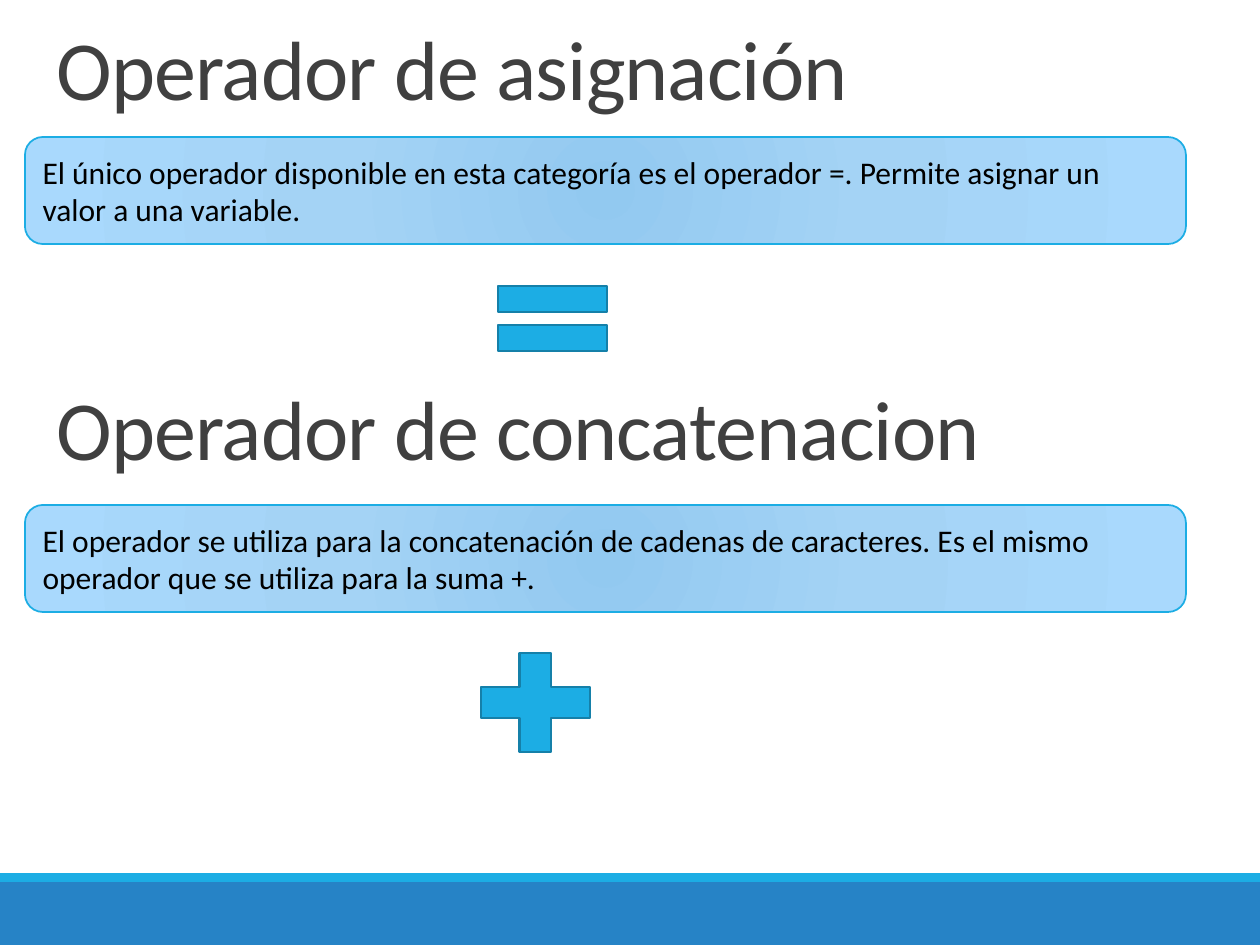
from dataclasses import dataclass

from pptx import Presentation
from pptx.dml.color import RGBColor
from pptx.enum.shapes import MSO_SHAPE
from pptx.enum.text import MSO_ANCHOR, PP_ALIGN
from pptx.oxml import parse_xml
from pptx.oxml.ns import nsdecls
from pptx.util import Emu, Pt

RECT, ROUNDED = MSO_SHAPE.RECTANGLE, MSO_SHAPE.ROUNDED_RECTANGLE
PLUS, EQUAL = MSO_SHAPE.MATH_PLUS, MSO_SHAPE.MATH_EQUAL
MIDDLE, BOTTOM = MSO_ANCHOR.MIDDLE, MSO_ANCHOR.BOTTOM
LEFT = PP_ALIGN.LEFT

EMU_PER_PX = 914400 / 126
WIDTH, HEIGHT = 1260, 945
FONT = "Calibri"
COLORS = {
    "title": "404040",
    "body": "000000",
    "accent": "1CADE4",
    "accent_dark": "1580A9",
    "footer": "2683C6",
}
GRADIENT = {0: "92C9F0", 45: "A4D3F5", 100: "A9D9FD"}


@dataclass
class Section:
    """One operator: its heading, its explanation and its symbol."""
    title: str
    title_top: int
    body: str
    body_top: int
    symbol: MSO_SHAPE
    symbol_box: tuple[int, int, int, int]


SECTIONS = [
    Section("Operador de asignación", -76,
            "El único operador disponible en esta categoría es el operador =. "
            "Permite asignar un valor a una variable.", 137,
            EQUAL, (478, 263, 149, 111)),
    Section("Operador de concatenacion", 284,
            "El operador se utiliza para la concatenación de cadenas de caracteres. "
            "Es el mismo operador que se utiliza para la suma +.", 505,
            PLUS, (461, 635, 149, 135)),
]


def px(*values: int) -> list[Emu]:
    """Turn pixels into EMU."""
    return [Emu(round(v * EMU_PER_PX)) for v in values]


def rgb(name: str) -> RGBColor:
    """Look up a named colour."""
    return RGBColor.from_string(COLORS[name])


def add_shape(slide, kind, box, fill=None, line=None, line_width=1.25):
    """Draw a preset shape without a shadow."""
    sp = slide.shapes.add_shape(kind, *px(*box))
    sp.shadow.inherit = False
    if fill:
        sp.fill.solid()
        sp.fill.fore_color.rgb = rgb(fill)
    if line:
        sp.line.color.rgb = rgb(line)
        sp.line.width = Pt(line_width)
    else:
        sp.line.fill.background()
    return sp


def set_text(sp, text: str, size: int, color: str, anchor):
    """Write one left-aligned paragraph and return it."""
    tf = sp.text_frame
    tf.word_wrap = True
    tf.vertical_anchor = anchor
    p = tf.paragraphs[0]
    p.alignment = LEFT
    p.add_run().text = text
    p.font.name, p.font.size = FONT, Pt(size)
    p.font.color.rgb = rgb(color)
    return p


def add_title(slide, text: str, top: int) -> None:
    """Add a large heading with tight letter spacing."""
    sp = slide.shapes.add_textbox(*px(44, top, 1039, 200))
    p = set_text(sp, text, 48, "title", BOTTOM)
    p.line_spacing = 0.85
    p.runs[0]._r.get_or_add_rPr().set("spc", "-50")


def add_body(slide, text: str, top: int) -> None:
    """Add a rounded box with a radial gradient and its explanation."""
    sp = add_shape(slide, ROUNDED, (25, top, 1161, 107), line="accent", line_width=1)
    stops = "".join(f'<a:gs pos="{pos * 1000}"><a:srgbClr val="{color}"/></a:gs>'
                    for pos, color in GRADIENT.items())
    gradient = parse_xml(
        f'<a:gradFill {nsdecls("a")} rotWithShape="1"><a:gsLst>{stops}</a:gsLst>'
        '<a:path path="circle"><a:fillToRect l="100000" t="100000" r="100000" b="100000"/>'
        '</a:path></a:gradFill>')
    sp._element.spPr.find("{*}prstGeom").addnext(gradient)
    set_text(sp, text, 18, "body", MIDDLE)


def main() -> None:
    """Build and save the slide."""
    prs = Presentation()
    prs.slide_width, prs.slide_height = px(WIDTH, HEIGHT)
    s = prs.slides.add_slide(prs.slide_layouts[6])
    add_shape(s, RECT, (0, 882, WIDTH, 63), "footer")
    add_shape(s, RECT, (0, 873, WIDTH, 9), "accent")
    for section in SECTIONS:
        add_title(s, section.title, section.title_top)
        add_body(s, section.body, section.body_top)
        add_shape(s, section.symbol, section.symbol_box, "accent", "accent_dark")
    prs.save("out.pptx")


main()
